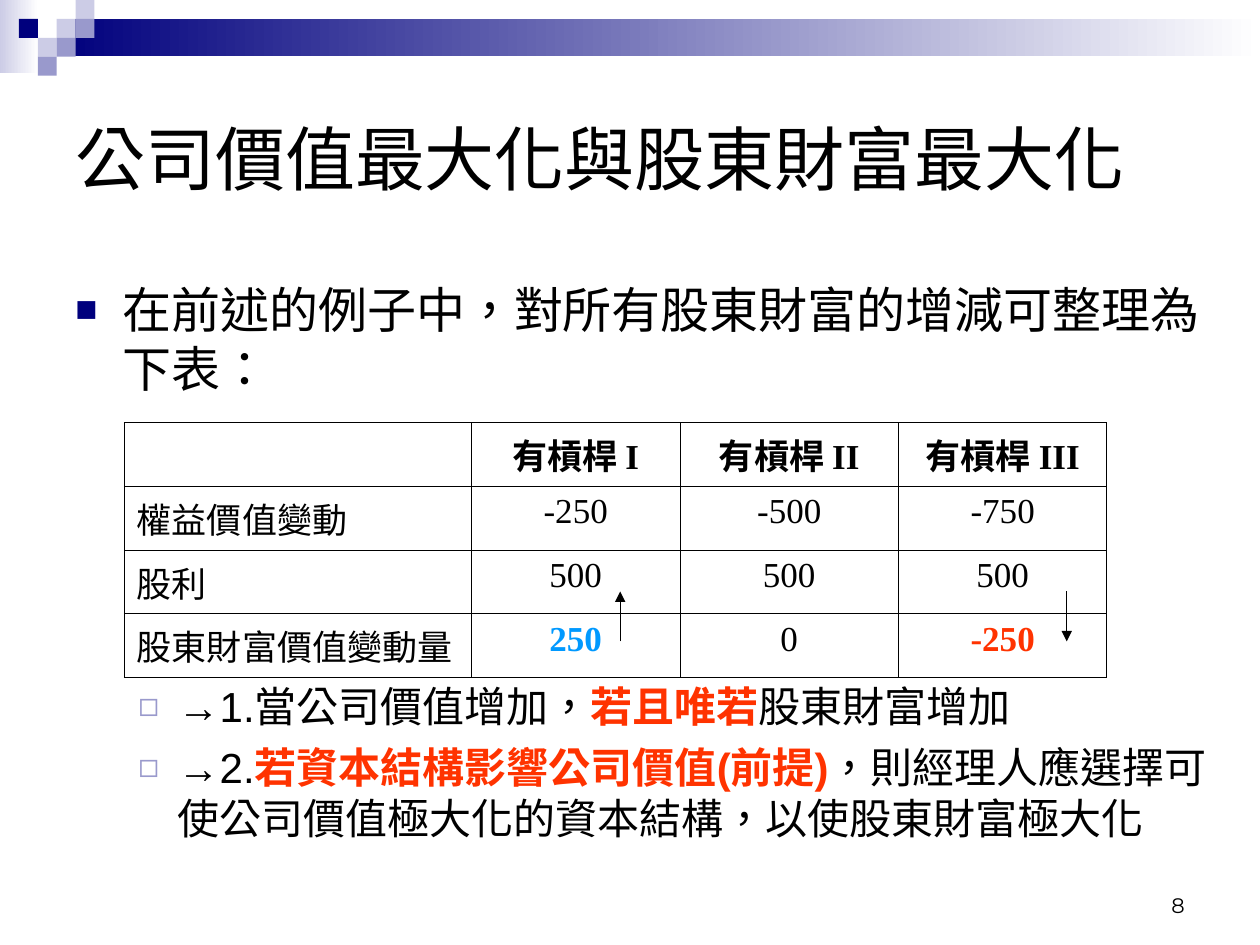
from lxml import etree
from pptx import Presentation
from pptx.dml.color import RGBColor
from pptx.enum.lang import MSO_LANGUAGE_ID
from pptx.enum.shapes import MSO_CONNECTOR, MSO_SHAPE
from pptx.enum.text import MSO_ANCHOR, PP_ALIGN
from pptx.oxml.ns import qn
from pptx.util import Pt

RECT, STRAIGHT = MSO_SHAPE.RECTANGLE, MSO_CONNECTOR.STRAIGHT
LEFT, CENTER, RIGHT = PP_ALIGN.LEFT, PP_ALIGN.CENTER, PP_ALIGN.RIGHT
TOP, MIDDLE, BOTTOM = MSO_ANCHOR.TOP, MSO_ANCHOR.MIDDLE, MSO_ANCHOR.BOTTOM
CHINESE = MSO_LANGUAGE_ID.TRADITIONAL_CHINESE

BLACK = RGBColor(0x00, 0x00, 0x00)
WHITE = RGBColor(0xFF, 0xFF, 0xFF)
NAVY = RGBColor(0x00, 0x00, 0x7D)
LAVENDER = RGBColor(0x99, 0x99, 0xCC)
PALE = RGBColor(0xCC, 0xCC, 0xE6)
RED = RGBColor(0xFF, 0x33, 0x00)
BLUE = RGBColor(0x00, 0x99, 0xFF)

TILE = 10.8
TILES = [  # column, row, colour
    (3, 1, PALE), (4, 0, PALE), (4, 1, LAVENDER), (2, 2, PALE),
    (1, 1, NAVY), (3, 2, LAVENDER), (2, 3, LAVENDER),
]
COL_WIDTHS = [198.5, 119, 125, 119]
ROW_HEIGHT = 36.4
ROWS = [
    ["", "有槓桿 I", "有槓桿 II", "有槓桿 III"],
    ["權益價值變動", "-250", "-500", "-750"],
    ["股利", "500", "500", "500"],
    ["股東財富價值變動量", "250", "0", "-250"],
]
HIGHLIGHTS = {(3, 1): BLUE, (3, 3): RED}


def add_text(p, text, size=20, font="Arial", color=BLACK, bold=False):
    r = p.add_run()
    r.text = text
    r.font.size = Pt(size)
    r.font.name = font
    r.font.bold = bold
    r.font.color.rgb = color
    r.font.language_id = CHINESE


def add_box(s, x, y, w, h, anchor=TOP, align=LEFT):
    tf = s.shapes.add_textbox(Pt(x), Pt(y), Pt(w), Pt(h)).text_frame
    tf.word_wrap = True
    tf.vertical_anchor = anchor
    tf.paragraphs[0].alignment = align
    return tf


def add_rect(s, x, y, w, h, color, fade=False):
    sp = s.shapes.add_shape(RECT, Pt(x), Pt(y), Pt(w), Pt(h))
    sp.shadow.inherit = False
    sp.line.fill.background()
    if fade:
        sp.fill.gradient()
        sp.fill.gradient_angle = 0
        for stop, stop_color in zip(sp.fill.gradient_stops, (color, WHITE)):
            stop.color.rgb = stop_color
    else:
        sp.fill.solid()
        sp.fill.fore_color.rgb = color


def set_bullet(p, char, color, percent, left, hanging, before):
    p.space_before = Pt(before)
    pPr = p._p.get_or_add_pPr()
    pPr.set("marL", str(Pt(left)))
    pPr.set("indent", str(-Pt(hanging)))
    bu_color = etree.SubElement(pPr, qn("a:buClr"))
    etree.SubElement(bu_color, qn("a:srgbClr"), val=str(color))
    etree.SubElement(pPr, qn("a:buSzPct"), val=str(percent * 1000))
    etree.SubElement(pPr, qn("a:buFont"), typeface="Arial")
    etree.SubElement(pPr, qn("a:buChar"), char=char)


def set_borders(cell, color, width):
    tcPr = cell._tc.get_or_add_tcPr()
    for i, side in enumerate(("lnL", "lnR", "lnT", "lnB")):
        ln = etree.Element(qn(f"a:{side}"), w=str(Pt(width)))
        fill = etree.SubElement(ln, qn("a:solidFill"))
        etree.SubElement(fill, qn("a:srgbClr"), val=str(color))
        tcPr.insert(i, ln)


def add_wealth_table(s, x, y):
    frame = s.shapes.add_table(len(ROWS), len(COL_WIDTHS), Pt(x), Pt(y),
                               Pt(sum(COL_WIDTHS)), Pt(ROW_HEIGHT * len(ROWS)))
    table = frame.table
    table.first_row = table.horz_banding = False
    for column, width in zip(table.columns, COL_WIDTHS):
        column.width = Pt(width)
    for i, row in enumerate(ROWS):
        table.rows[i].height = Pt(ROW_HEIGHT)
        for j, text in enumerate(row):
            cell = table.cell(i, j)
            cell.fill.background()
            set_borders(cell, BLACK, 0.45)
            if text:
                p = cell.text_frame.paragraphs[0]
                p.alignment = CENTER if j else LEFT
                add_text(p, text, font="Times New Roman",
                         color=HIGHLIGHTS.get((i, j), BLACK),
                         bold=i == 0 or (i, j) in HIGHLIGHTS)


def add_arrow(s, x, y1, y2):
    line = s.shapes.add_connector(STRAIGHT, Pt(x), Pt(y1), Pt(x), Pt(y2))
    line.line.color.rgb = BLACK
    line.line.width = Pt(0.75)
    etree.SubElement(line.line._get_or_add_ln(), qn("a:tailEnd"), type="triangle")
    etree.SubElement(line._element.spPr, qn("a:effectLst"))


def add_body(s):
    tf = add_box(s, 36, 156.2, 669.6, 358)
    p = tf.paragraphs[0]
    set_bullet(p, "■", NAVY, 75, left=27, hanging=27, before=7)
    add_text(p, "在前述的例子中，對所有股東財富的增減可整理為下表：", size=28)
    # The first conclusion starts below the table
    conclusions = [
        (162, "→1.當公司價值增加，", "若且唯若", "股東財富增加"),
        (6, "→2.", "若資本結構影響公司價值(前提)",
         "，則經理人應選擇可使公司價值極大化的資本結構，以使股東財富極大化"),
    ]
    for before, lead, key, rest in conclusions:
        p = tf.add_paragraph()
        set_bullet(p, "◻", LAVENDER, 80, left=58.5, hanging=22.5, before=before)
        add_text(p, lead, size=24)
        add_text(p, key, size=24, color=RED, bold=True)
        add_text(p, rest, size=24)


def main():
    prs = Presentation()
    prs.slide_width, prs.slide_height = Pt(720), Pt(540)
    s = prs.slides.add_slide(prs.slide_layouts[6])

    # Header band and tiles
    add_rect(s, 0, 0, 22, 42, PALE, fade=True)
    add_rect(s, 3 * TILE, TILE, 720 - 3 * TILE, 21.3, NAVY, fade=True)
    for column, row, color in TILES:
        add_rect(s, column * TILE, row * TILE, TILE, TILE, color)

    # Page number and title
    tf = add_box(s, 516, 492, 168, 36, anchor=BOTTOM, align=RIGHT)
    add_text(tf.paragraphs[0], "8", size=12, font="Montserrat")
    tf = add_box(s, 36, 36, 648, 108, anchor=MIDDLE)
    add_text(tf.paragraphs[0], "公司價值最大化與股東財富最大化", size=40)

    # Body, table and change arrows
    add_body(s)
    add_wealth_table(s, 71, 241.5)
    add_arrow(s, 354.4, 366.5, 338)
    add_arrow(s, 609.6, 338, 366.5)

    prs.save("out.pptx")


if __name__ == "__main__":
    main()
